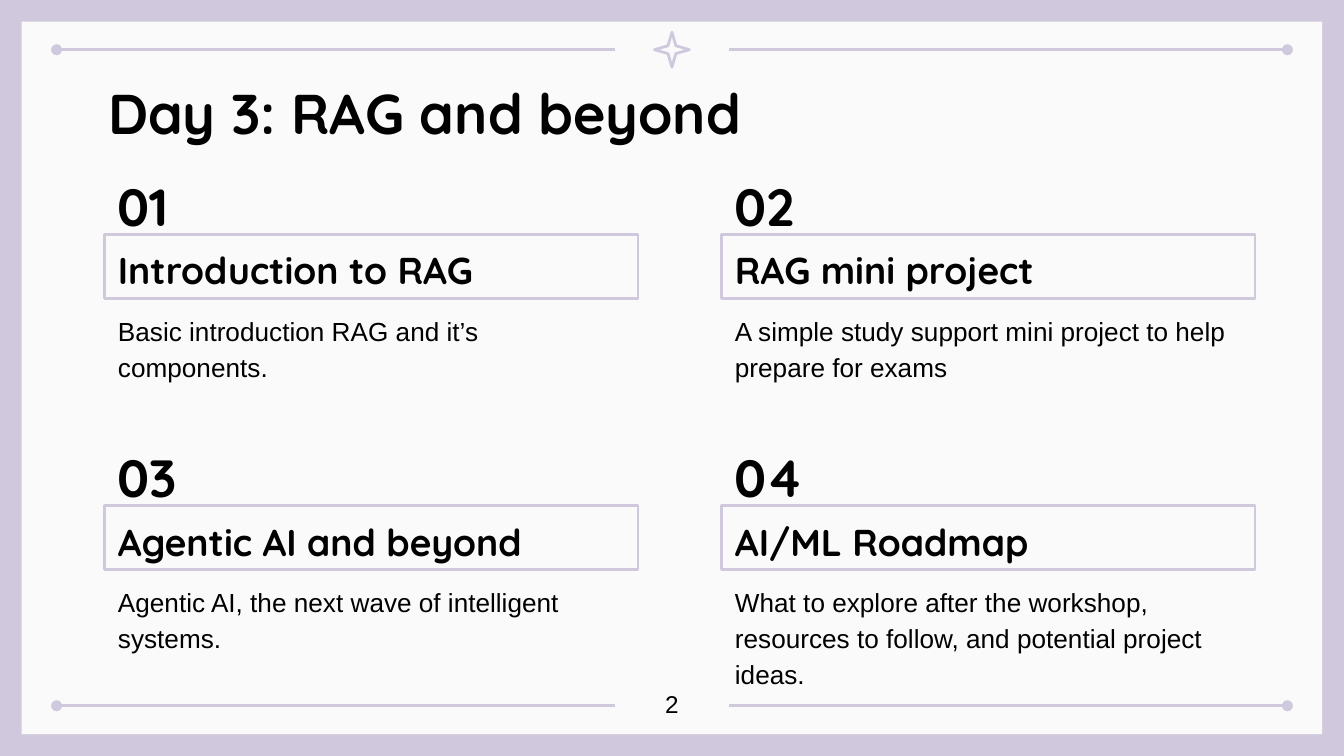
import pptx
import pptx.util
import pptx.dml.color
import pptx.enum.shapes
import pptx.enum.text
import pptx.oxml

Cm = pptx.util.Cm
Pt = pptx.util.Pt
RGBColor = pptx.dml.color.RGBColor
MSO_SHAPE = pptx.enum.shapes.MSO_SHAPE
MSO_ANCHOR = pptx.enum.text.MSO_ANCHOR
PP_ALIGN = pptx.enum.text.PP_ALIGN

LILAC = RGBColor(0xD0, 0xC9, 0xDD)
PAPER = RGBColor(0xFA, 0xFA, 0xFA)
BLACK = RGBColor(0, 0, 0)

TITLE = "Day 3: RAG and beyond"
PAGE = "2"
TOPICS = [
    ("Introduction to RAG", "Basic introduction RAG and it’s components."),
    ("RAG mini project", "A simple study support mini project to help prepare for exams"),
    ("Agentic AI and beyond", "Agentic AI, the next wave of intelligent systems."),
    ("AI/ML Roadmap", "What to explore after the workshop, resources to follow, "
                      "and potential project ideas."),
]

TITLE_FONT = {"name": "Quicksand", "size": Pt(30), "bold": True}
NUMBER_FONT = {"name": "Quicksand", "size": Pt(28), "bold": True}
HEADING_FONT = {"name": "Quicksand", "size": Pt(20), "bold": True}
BODY_FONT = {"name": "Arial", "size": Pt(14)}
PAGE_FONT = {"name": "Arial", "size": Pt(13)}

WIDTH, HEIGHT = 25.4, 14.29
INSET = 0.41
RULE_START, RULE_END = 1.07, 11.63
RULE_TOP, RULE_BOTTOM = 0.94, 13.34
STAR = 0.66
CARD_LEFT, CARD_TOP, CARD_WIDTH = 1.98, 3.18, 10.08
COLUMN_STEP, ROW_STEP = 11.66, 5.13


def outline(sp):
    sp.line.color.rgb = LILAC
    sp.line.width = Pt(1.5)


def place(sp, x, y, w, h):
    sp.left, sp.top, sp.width, sp.height = Cm(x), Cm(y), Cm(w), Cm(h)


def write(sp, text, font, anchor=MSO_ANCHOR.TOP, align=PP_ALIGN.LEFT, spacing=1.0):
    tf = sp.text_frame
    frame = {"word_wrap": True, "auto_size": pptx.enum.text.MSO_AUTO_SIZE.NONE,
             "vertical_anchor": anchor}
    for side in ("left", "top", "right", "bottom"):
        frame["margin_" + side] = Cm(0.25)
    for name, value in frame.items():
        setattr(tf, name, value)
    p = tf.paragraphs[0]
    p.alignment = align
    p.line_spacing = spacing
    r = p.add_run()
    r.text = text
    r.font.color.rgb = BLACK
    for name, value in font.items():
        setattr(r.font, name, value)


def add_text(s, box, *args, **kwargs):
    sp = s.shapes.add_textbox(*map(Cm, box))
    write(sp, *args, **kwargs)
    return sp


def add_rule(s, x1, x2, y):
    line = s.shapes.add_connector(
        pptx.enum.shapes.MSO_CONNECTOR.STRAIGHT, Cm(x1), Cm(y), Cm(x2), Cm(y))
    outline(line)
    ln = line.line._get_or_add_ln()
    ns = pptx.oxml.ns.nsdecls("a")
    ln.append(pptx.oxml.parse_xml(f'<a:headEnd {ns} type="oval"/>'))
    ln.getparent().append(pptx.oxml.parse_xml(f"<a:effectLst {ns}/>"))


def add_frame(s):
    sp = s.shapes.add_shape(
        MSO_SHAPE.RECTANGLE, Cm(INSET), Cm(INSET),
        Cm(WIDTH - 2 * INSET), Cm(HEIGHT - 2 * INSET))
    sp.shadow.inherit = False
    sp.fill.solid()
    sp.fill.fore_color.rgb = PAPER
    sp.line.fill.background()
    for y in (RULE_TOP, RULE_BOTTOM):
        add_rule(s, RULE_START, RULE_END, y)
        add_rule(s, WIDTH - RULE_START, WIDTH - RULE_END, y)
    star = s.shapes.add_shape(
        MSO_SHAPE.STAR_4_POINT, Cm((WIDTH - STAR) / 2), Cm(RULE_TOP - STAR / 2),
        Cm(STAR), Cm(STAR))
    star.adjustments[0] = 0.16
    star.shadow.inherit = False
    star.fill.background()
    outline(star)


def add_topic(s, i, heading, body):
    row, column = divmod(i, 2)
    x = CARD_LEFT + column * COLUMN_STEP
    y = CARD_TOP + row * ROW_STEP
    add_text(s, (x, y, 1.83, 1.22), f"{i + 1:02d}", NUMBER_FONT,
             anchor=MSO_ANCHOR.MIDDLE, spacing=1.15)
    sp = add_text(s, (x, y + 1.25, CARD_WIDTH, 1.21), heading, HEADING_FONT,
                  anchor=MSO_ANCHOR.MIDDLE, spacing=1.15)
    outline(sp)
    add_text(s, (x, y + 2.44, CARD_WIDTH, 1.5), body, BODY_FONT, spacing=1.15)


def main():
    prs = pptx.Presentation()
    prs.slide_width, prs.slide_height = Cm(WIDTH), Cm(HEIGHT)
    s = prs.slides.add_slide(prs.slide_layouts[5])
    s.background.fill.solid()
    s.background.fill.fore_color.rgb = LILAC
    add_frame(s)
    title = s.shapes.title
    s.shapes._spTree.append(title._element)
    place(title, 1.8, 1.24, 21.39, 1.6)
    write(title, TITLE, TITLE_FONT)
    for i, (heading, body) in enumerate(TOPICS):
        add_topic(s, i, heading, body)
    add_text(s, (11.94, 12.78, 1.52, 0.91), PAGE, PAGE_FONT, align=PP_ALIGN.CENTER)
    prs.save("out.pptx")


if __name__ == "__main__":
    main()
